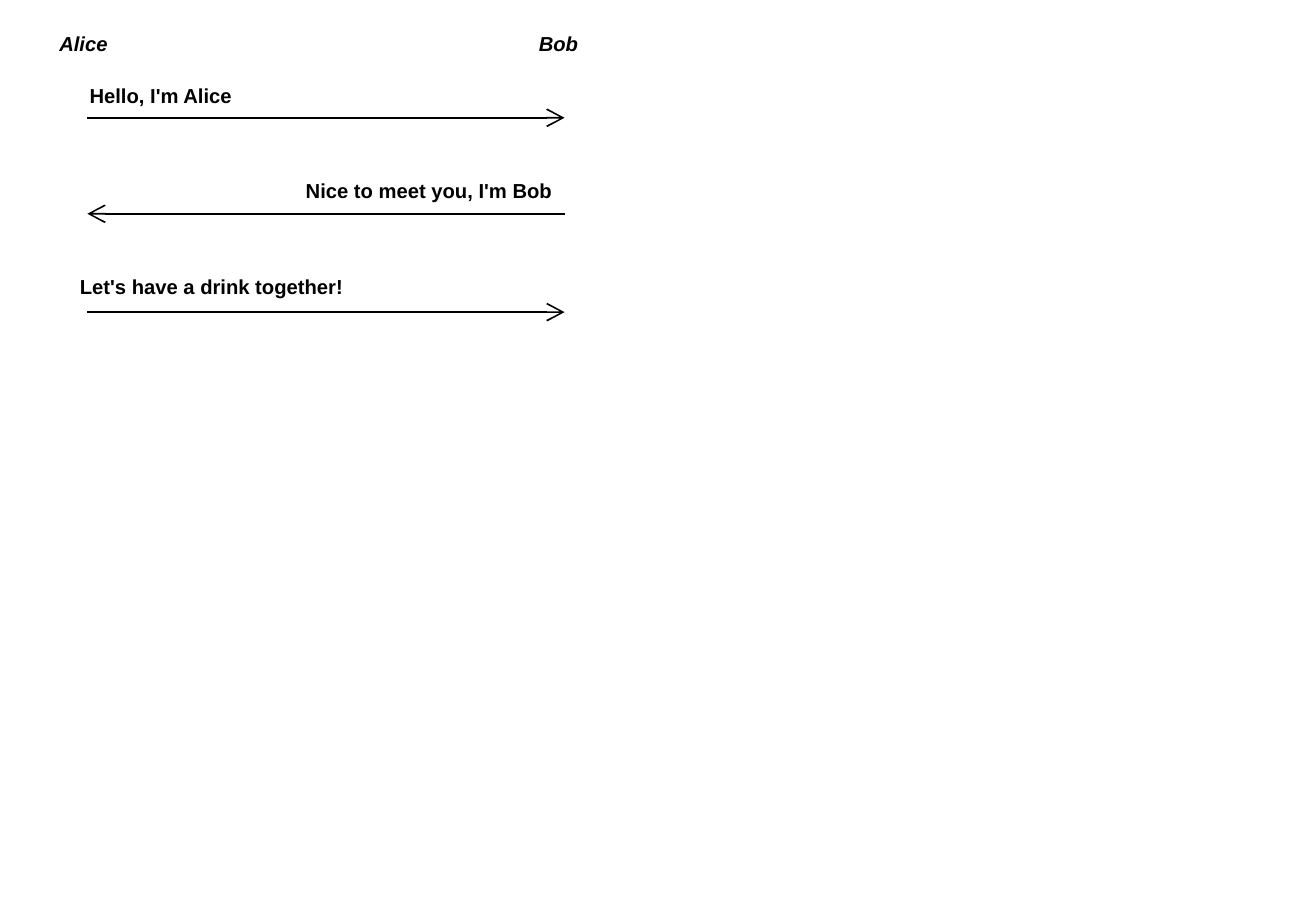
from dataclasses import dataclass

from lxml import etree
from pptx import Presentation
from pptx.dml.color import RGBColor
from pptx.enum.shapes import MSO_CONNECTOR
from pptx.enum.text import MSO_AUTO_SIZE
from pptx.oxml.ns import qn
from pptx.slide import Slide
from pptx.util import Inches, Pt

STRAIGHT = MSO_CONNECTOR.STRAIGHT
FIT_SHAPE = MSO_AUTO_SIZE.SHAPE_TO_FIT_TEXT
BLACK = RGBColor(0x00, 0x00, 0x00)
BLANK_LAYOUT = 6
LABEL_HEIGHT = 0.3
ALICE_X, BOB_X = 0.72, 4.65


@dataclass(frozen=True)
class Label:
    text: str
    left: float
    top: float
    width: float
    italic: bool = False


@dataclass(frozen=True)
class Message:
    label: Label
    start_x: float
    end_x: float
    arrow_y: float


PARTICIPANTS = [
    Label("Alice", 0.39, 0.21, 0.62, italic=True),
    Label("Bob", 4.34, 0.21, 0.56, italic=True),
]
MESSAGES = [
    Message(Label("Hello, I'm Alice", 0.64, 0.64, 1.4), ALICE_X, BOB_X, 0.97),
    Message(Label("Nice to meet you, I'm Bob", 2.42, 1.42, 2.25), BOB_X, ALICE_X, 1.76),
    Message(Label("Let's have a drink together!", 0.56, 2.21, 2.39), ALICE_X, BOB_X, 2.57),
]


def draw_label(slide: Slide, label: Label) -> None:
    box = slide.shapes.add_textbox(
        Inches(label.left), Inches(label.top), Inches(label.width), Inches(LABEL_HEIGHT)
    )
    frame = box.text_frame
    frame.word_wrap = False
    frame.auto_size = FIT_SHAPE
    paragraph = frame.paragraphs[0]
    paragraph.text = label.text
    font = paragraph.font
    font.name = "Arial"
    font.size = Pt(12)
    font.bold = True
    font.italic = label.italic
    font.color.rgb = BLACK


def draw_arrow(slide: Slide, message: Message) -> None:
    y = Inches(message.arrow_y)
    connector = slide.shapes.add_connector(
        STRAIGHT, Inches(message.start_x), y, Inches(message.end_x), y
    )
    connector.line.color.rgb = BLACK
    connector.line.width = Pt(1)
    # Large open arrowhead at the receiver, no shadow
    properties = connector._element.spPr
    line = properties.find(qn("a:ln"))
    etree.SubElement(line, qn("a:tailEnd"), type="arrow", w="lg", len="lg")
    etree.SubElement(properties, qn("a:effectLst"))


def main() -> None:
    presentation = Presentation()
    presentation.slide_width = Inches(10.84)
    presentation.slide_height = Inches(7.5)
    slide = presentation.slides.add_slide(presentation.slide_layouts[BLANK_LAYOUT])

    # Participants
    for participant in PARTICIPANTS:
        draw_label(slide, participant)

    # Exchanged messages
    for message in MESSAGES:
        draw_arrow(slide, message)
        draw_label(slide, message.label)

    presentation.save("out.pptx")


if __name__ == "__main__":
    main()
